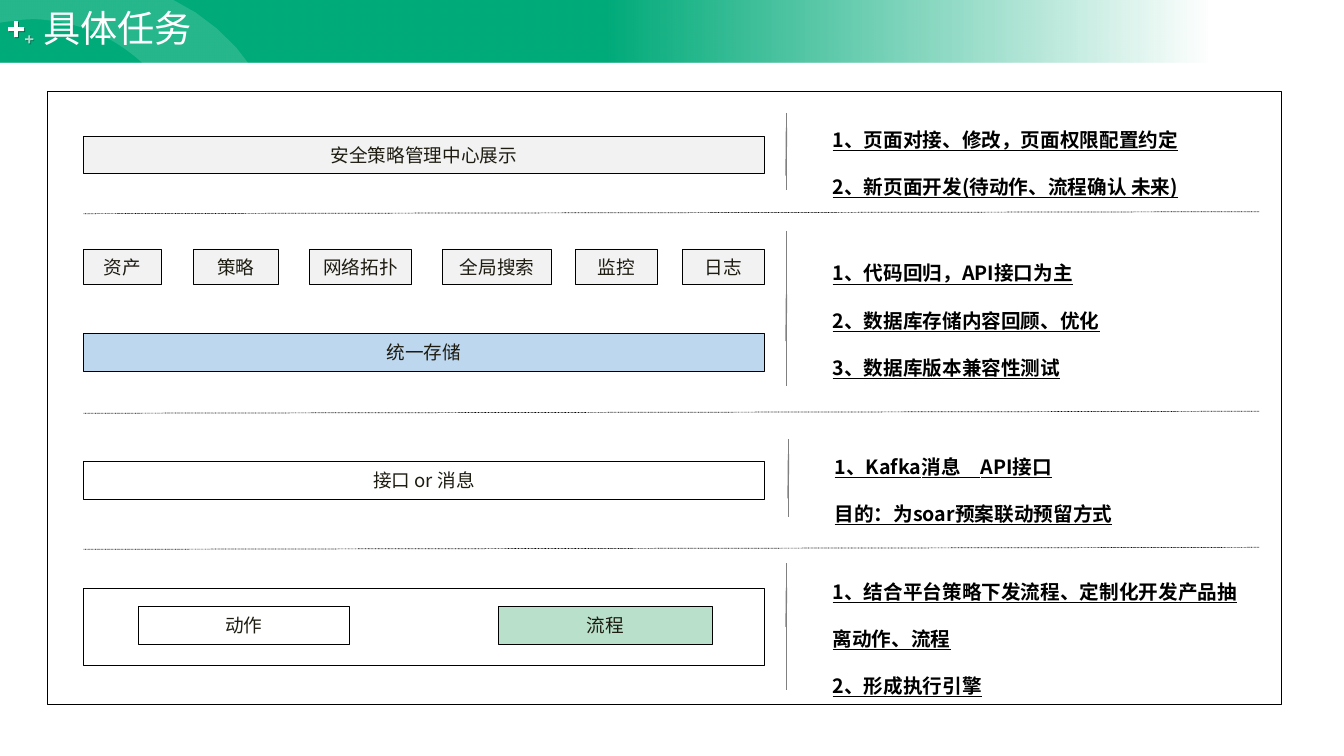
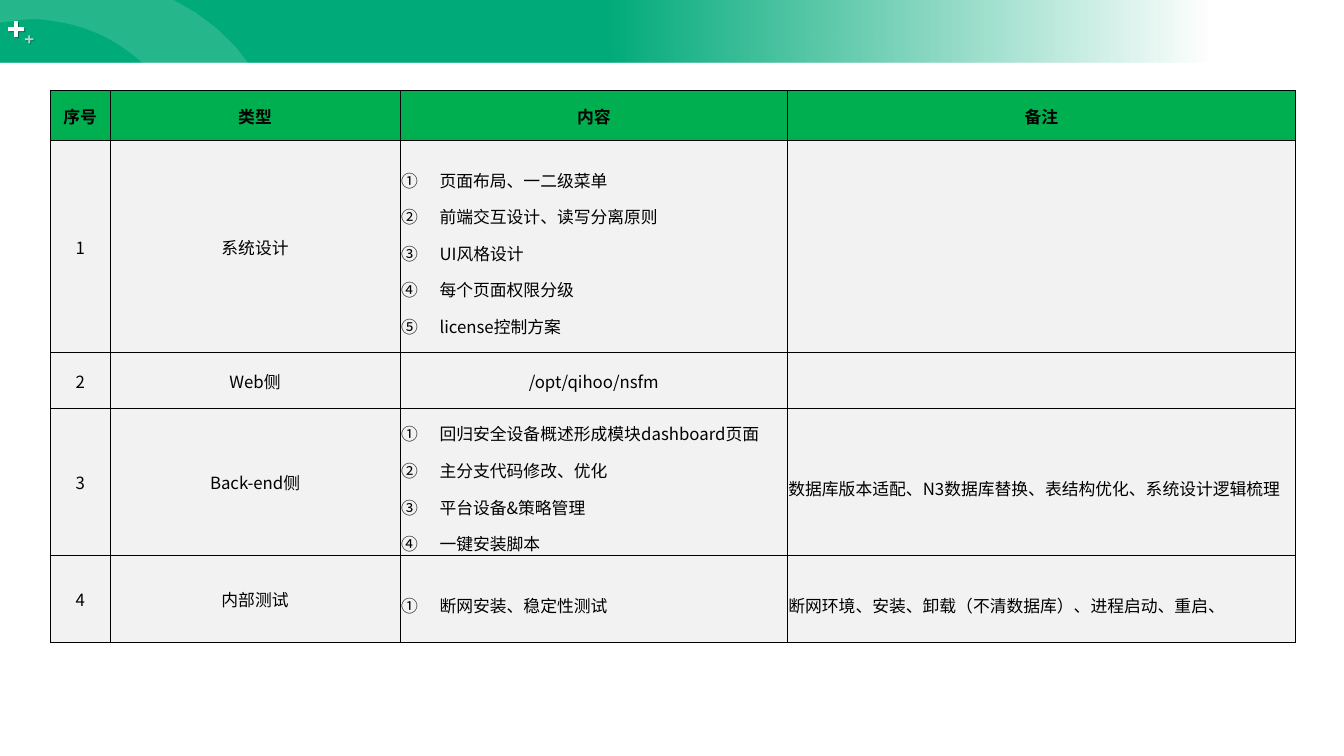
import pptx
import pptx.util
from lxml import etree
from pptx.dml.color import RGBColor
from pptx.enum.dml import MSO_LINE
from pptx.enum.shapes import MSO_CONNECTOR, MSO_SHAPE
from pptx.enum.text import MSO_ANCHOR, MSO_AUTO_SIZE, PP_ALIGN
from pptx.oxml.ns import qn
from pptx.util import Inches, Pt

SANS = "Noto Sans CJK SC"
WHITE = RGBColor(0xFF, 0xFF, 0xFF)
BLACK = RGBColor(0x00, 0x00, 0x00)
INK = RGBColor(0x1E, 0x1C, 0x11)
GRAY = RGBColor(0x80, 0x80, 0x80)
LIGHT = RGBColor(0xF2, 0xF2, 0xF2)
BLUE = RGBColor(0xBD, 0xD7, 0xEE)
MINT = RGBColor(0xB8, 0xE0, 0xCA)
BAND_GREEN = RGBColor(0x00, 0xAB, 0x7A)
HEADER_GREEN = RGBColor(0x00, 0xB0, 0x50)


def write(frame, lines, size, color=BLACK, font=SANS, bold=False,
          underline=False, align=PP_ALIGN.LEFT, spacing=None, numbered=False):
    frame.text = "\n".join(lines)
    for paragraph in frame.paragraphs:
        paragraph.alignment = align
        paragraph.line_spacing = spacing
        if numbered:
            properties = paragraph._p.get_or_add_pPr()
            properties.set("marL", str(Inches(0.38)))
            properties.set("indent", str(-Inches(0.38)))
            etree.SubElement(properties, qn("a:buAutoNum"), type="circleNumDbPlain")
        for run in paragraph.runs:
            run.font.size = Pt(size)
            run.font.bold = bold
            run.font.underline = underline
            run.font.color.rgb = color
            run.font.name = font
            etree.SubElement(run._r.get_or_add_rPr(), qn("a:ea"), typeface=font)


def add_shape(slide, left, top, width, height, preset=MSO_SHAPE.RECTANGLE,
              fill=None, line=None, weight=1):
    shape = slide.shapes.add_shape(
        preset, Inches(left), Inches(top), Inches(width), Inches(height))
    shape.shadow.inherit = False
    if fill is None:
        shape.fill.background()
    else:
        shape.fill.solid()
        shape.fill.fore_color.rgb = fill
    if line is None:
        shape.line.fill.background()
    else:
        shape.line.color.rgb = line
        shape.line.width = Pt(weight)
    return shape


deck = pptx.Presentation()
deck.slide_width = Inches(13.33)
deck.slide_height = Inches(7.5)
layout = deck.slide_layouts[6]
for placeholder in list(layout.placeholders):
    placeholder.element.getparent().remove(placeholder.element)
tasks = deck.slides.add_slide(layout)

# Shared header band, moved to the layout once drawn
band = add_shape(tasks, 0, 0, 13.33, 0.62)
band.fill.gradient()
band.fill.gradient_angle = 0
for stop, position in zip(band.fill.gradient_stops, (0.45, 0.9)):
    stop.color.rgb = BAND_GREEN
    stop.position = position

big_plus = add_shape(tasks, 0.08, 0.21, 0.16, 0.16, MSO_SHAPE.CROSS, WHITE)
small_plus = add_shape(tasks, 0.25, 0.35, 0.08, 0.08, MSO_SHAPE.CROSS, WHITE)

# Ring: each cubic curve starts where the one before ends
ring_start = (2.51, 0.69)
ring_curves = [
    ((1.9, -0.23), (0.61, -0.5), (-0.33, 0.13)),
    ((-0.27, 0.3), (-0.27, 0.3), (-0.27, 0.3)),
    ((-0.1, 0.24), (0.01, 0.22), (0.12, 0.21)),
    ((0.24, 0.19), (0.37, 0.18), (0.53, 0.21)),
    ((0.69, 0.23), (0.86, 0.28), (1.03, 0.36)),
    ((1.19, 0.44), (1.35, 0.56), (1.47, 0.68)),
    ((1.61, 0.79), (1.69, 0.9), (1.79, 0.99)),
    ((1.88, 1.07), (1.95, 1.12), (2.03, 1.16)),
    ((2.27, 1.24), (2.44, 1.15), (2.51, 1.07)),
    ((2.6, 1), (2.57, 0.79), (2.51, 0.69)),
]
STEPS = 12
ring_points = []
start = ring_start
for first, second, end in ring_curves:
    for step in range(1, STEPS + 1):
        t = step / STEPS
        weights = ((1 - t) ** 3, 3 * t * (1 - t) ** 2, 3 * t * t * (1 - t), t ** 3)
        corners = (start, first, second, end)
        ring_points.append(tuple(
            Inches(sum(w * corner[axis] for w, corner in zip(weights, corners)))
            for axis in (0, 1)))
    start = end
outline = tasks.shapes.build_freeform(Inches(ring_start[0]), Inches(ring_start[1]))
outline.add_line_segments(ring_points, close=True)
ring = outline.convert_to_shape()
ring.shadow.inherit = False
ring.fill.solid()
ring.fill.fore_color.rgb = WHITE
ring.line.fill.background()

for part, opacity in ((band, 0), (small_plus, 70), (ring, 15)):
    last_color = part.element.xpath("./p:spPr//a:srgbClr")[-1]
    etree.SubElement(last_color, qn("a:alpha"), val=str(opacity * 1000))

for plus in (big_plus, small_plus):
    plus.adjustments[0] = 0.38
    effects = plus.element.xpath("./p:spPr/a:effectLst")[0]
    shadow = etree.SubElement(effects, qn("a:outerShdw"), blurRad="0",
                              dist=str(Pt(1)), dir=str(45 * 60000))
    shade = etree.SubElement(shadow, qn("a:srgbClr"), val=str(BLACK))
    etree.SubElement(shade, qn("a:alpha"), val="40000")

for part in (band, big_plus, small_plus, ring):
    layout.shapes.element.append(part.element)

# Slide 1: architecture layers
add_shape(tasks, 0.83, 5.84, 6.75, 0.76, fill=WHITE, line=BLACK)
layers = [
    ("统一存储", 0.83, 3.31, 6.75, 0.37, BLUE),
    ("接口 or 消息", 0.83, 4.58, 6.75, 0.37, WHITE),
    ("流程", 4.94, 6.02, 2.13, 0.37, MINT),
    ("动作", 1.37, 6.02, 2.1, 0.37, WHITE),
    ("安全策略管理中心展示", 0.83, 1.35, 6.75, 0.37, LIGHT),
]
modules = [("资产", 0.83, 0.77), ("策略", 1.92, 0.84), ("网络拓扑", 3.07, 1.01),
           ("全局搜索", 4.39, 1.08), ("监控", 5.71, 0.81), ("日志", 6.77, 0.81)]
layers += [(label, left, 2.47, width, 0.35, LIGHT) for label, left, width in modules]
for label, left, top, width, height, fill in layers:
    layer = add_shape(tasks, left, top, width, height,
                      fill=fill, line=BLACK, weight=0.5)
    write(layer.text_frame, [label], 13.3, INK, align=PP_ALIGN.CENTER)

# Task notes beside each layer
notes = [
    (8.16, 1.12, 0.77, 0.19, 0.81,
     ["1、页面对接、修改，页面权限配置约定", "2、新页面开发(待动作、流程确认 未来)"]),
    (8.16, 2.29, 1.54, 0.41, 0.71,
     ["1、代码回归，API接口为主", "2、数据库存储内容回顾、优化", "3、数据库版本兼容性测试"]),
    (8.18, 4.36, 0.77, 0.19, 0.76,
     ["1、Kafka消息　API接口", "目的：为soar预案联动预留方式"]),
    (8.16, 5.59, 1.26, 0.19, 0.5,
     ["1、结合平台策略下发流程、定制化开发产品抽离动作、流程", "2、形成执行引擎"]),
]
for left, top, height, bar_from, bar_to, lines in notes:
    note = add_shape(tasks, left, top, 4.33, height,
                     MSO_SHAPE.LINE_CALLOUT_1_ACCENT_BAR, line=GRAY)
    for index, value in enumerate((bar_from, -0.083, bar_to, -0.084)):
        note.adjustments[index] = value
    note.text_frame.vertical_anchor = MSO_ANCHOR.MIDDLE
    write(note.text_frame, lines, 14, bold=True, underline=True, spacing=2.0)

# Dotted dividers between layers
for top in (2.1, 4.08, 5.43):
    divider = tasks.shapes.add_connector(
        MSO_CONNECTOR.STRAIGHT, Inches(0.83), Inches(top + 0.02),
        Inches(12.49), Inches(top))
    divider.line.color.rgb = BLACK
    divider.line.width = Pt(0.5)
    divider.line.dash_style = MSO_LINE.ROUND_DOT
    etree.SubElement(divider.element.spPr, qn("a:effectLst"))

# Title and outer frame
title = tasks.shapes.add_textbox(Inches(0.33), 0, Inches(1.7), Inches(0.55))
title.text_frame.word_wrap = False
title.text_frame.auto_size = MSO_AUTO_SIZE.SHAPE_TO_FIT_TEXT
write(title.text_frame, ["具体任务"], 26.6, WHITE, font="Arial")
add_shape(tasks, 0.47, 0.91, 12.24, 6.08, line=BLACK)

# Slide 2: work breakdown table
breakdown = deck.slides.add_slide(layout)
column_widths = (0.59, 2.88, 3.84, 5.04)
row_heights = (0.49, 2.11, 0.55, 1.41, 0.86)
rows = [
    ("序号", "类型", "内容", "备注"),
    ("1", "系统设计",
     ["页面布局、一二级菜单", "前端交互设计、读写分离原则", "UI风格设计",
      "每个页面权限分级", "license控制方案"], ""),
    ("2", "Web侧", "/opt/qihoo/nsfm", ""),
    ("3", "Back-end侧",
     ["回归安全设备概述形成模块dashboard页面", "主分支代码修改、优化",
      "平台设备&策略管理", "一键安装脚本"],
     "数据库版本适配、N3数据库替换、表结构优化、系统设计逻辑梳理"),
    ("4", "内部测试", ["断网安装、稳定性测试"],
     "断网环境、安装、卸载（不清数据库）、进程启动、重启、"),
]
table = breakdown.shapes.add_table(
    len(rows), len(column_widths), Inches(0.5), Inches(0.9),
    Inches(sum(column_widths)), Inches(sum(row_heights))).table
table.horz_banding = False
for column, width in zip(table.columns, column_widths):
    column.width = Inches(width)
for row, height in zip(table.rows, row_heights):
    row.height = Inches(height)

for row_index, row in enumerate(rows):
    for column_index, content in enumerate(row):
        cell = table.cell(row_index, column_index)
        is_header = row_index == 0
        is_list = isinstance(content, list)
        is_remark = column_index == 3 and not is_header
        cell.vertical_anchor = MSO_ANCHOR.MIDDLE
        cell.margin_left = cell.margin_right = cell.margin_top = Inches(0.01)
        cell.margin_bottom = 0
        for side in ("a:lnL", "a:lnR", "a:lnT", "a:lnB"):
            border = etree.SubElement(cell._tc.get_or_add_tcPr(), qn(side),
                                      w=str(Pt(0.5)))
            paint = etree.SubElement(border, qn("a:solidFill"))
            etree.SubElement(paint, qn("a:srgbClr"), val=str(BLACK))
        cell.fill.solid()
        cell.fill.fore_color.rgb = HEADER_GREEN if is_header else LIGHT
        if content:
            write(cell.text_frame, content if is_list else [content], 12,
                  bold=is_header, numbered=is_list,
                  align=PP_ALIGN.LEFT if is_list or is_remark else PP_ALIGN.CENTER,
                  spacing=1.5 if is_list or is_remark else None)

deck.save("out.pptx")
